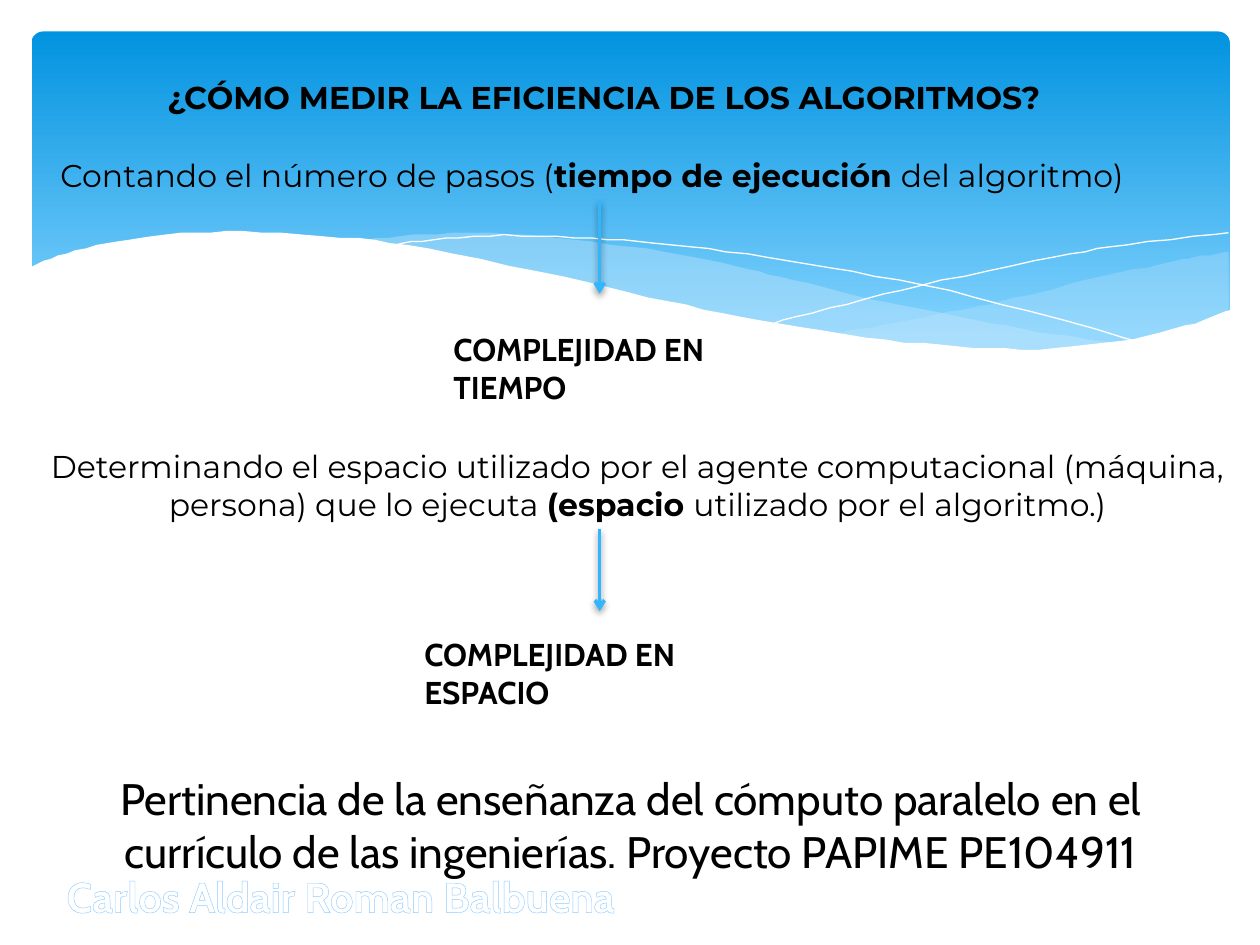
import pptx
import pptx.util
import pptx.dml.color
import pptx.enum.dml
import pptx.enum.shapes
import pptx.enum.text
import pptx.oxml
import pptx.oxml.ns
from lxml import etree
from dataclasses import dataclass

Pt = pptx.util.Pt
ALIGN = pptx.enum.text.PP_ALIGN
ANCHOR = pptx.enum.text.MSO_ANCHOR


@dataclass(frozen=True)
class Theme:
    black: str = "000000"
    white: str = "FFFFFF"
    sky_top: str = "0293E0"
    sky_bottom: str = "83D3FE"
    band: str = "C6E7FC"
    arrow: str = "31B6FD"
    outline: str = "8ECCFF"
    body: float = 18
    footer: float = 25.2
    author: float = 24
    sans: str = "Montserrat"
    label: str = "Cabin"


theme = Theme()

right_band = [
    [(702.5, 144), (682.5, 147), (663, 151), (620, 160.5), (579.5, 170.5), (542, 178.5), (476, 191)],
    [(497.5, 193.5), (527, 197), (553.5, 199.5), (586, 200), (621, 198), (651.5, 193.5),
     (678, 186.5), (702.5, 178)],
]
middle_band = [
    [(206, 137.5), (236, 134.5), (273.5, 133), (318, 136), (370, 142.5), (420.5, 152), (453, 160),
     (508, 173), (558, 183), (602.5, 191), (643, 196.5)],
    [(643, 196.5), (617, 199.5), (581, 200), (538.5, 198.5), (489.5, 193), (432.5, 183.5),
     (381.5, 173), (323, 160), (276, 149), (232.5, 141), (206, 137.5)],
]
falling_line = [[(222.5, 140.5), (247.5, 137), (288.5, 134.5), (337.5, 136), (384, 139.5),
                 (438, 147), (500.5, 157.5), (572.5, 173.5), (653, 196)]]
rising_line = [[(441.5, 185), (484, 173.5), (538.5, 160.5), (602, 147), (644.5, 139.5), (702, 133)]]
white_wave = [
    [(16.5, 153.5), (33, 146), (61, 139), (95, 134), (139, 132.5), (195, 135.5), (245, 142),
     (322, 158.5), (381, 172), (434, 183), (495, 193), (548, 198), (593, 199.5), (639, 195),
     (677, 186.5), (703.5, 177)],
    [(703.5, 237), (16.5, 237)],
]
waves = [
    (right_band, theme.band, 29),
    (middle_band, theme.band, 40),
    (falling_line, None, 0),
    (rising_line, None, 0),
    (white_wave, theme.white, 100),
]

texts = [
    dict(box=(27.4, 85.7, 700, 29), runs=[("Contando el número de pasos (", False),
                                         ("tiempo de ejecución ", True), ("del algoritmo)", False)]),
    dict(box=(88.6, 41, 577.4, 29), runs=[("¿CÓMO MEDIR LA EFICIENCIA DE LOS ALGORITMOS?", True)]),
    dict(box=(8.6, 252, 711.4, 51), align=ALIGN.CENTER,
         runs=[("Determinando el espacio utilizado por el agente computacional (máquina, persona) "
                "que lo ejecuta ", False), ("(espacio ", True), ("utilizado por el algoritmo.)", False)]),
    dict(box=(252, 185, 212.4, 29), font=theme.label, runs=[("COMPLEJIDAD EN TIEMPO", True)]),
    dict(box=(235.4, 359.3, 215.3, 29), font=theme.label, runs=[("COMPLEJIDAD EN ESPACIO", True)]),
    dict(box=(20.2, 445.7, 680.4, 79.2), font=theme.label, size=theme.footer, align=ALIGN.CENTER,
         anchor=ANCHOR.MIDDLE, bottom=32,
         runs=[("Pertinencia de la enseñanza del cómputo paralelo en el currículo de las "
                "ingenierías. Proyecto PAPIME PE104911", False)]),
    dict(box=(-31, 494, 451.4, 36), font=theme.label, size=theme.author, align=ALIGN.CENTER,
         color=theme.white, outline=(theme.outline, 2.48),
         runs=[("Carlos Aldair Roman Balbuena", True)]),
]

arrow_x = 342.7
arrows = [(114.5, 167.8), (302.4, 349.2)]


def rgb(value):
    return pptx.dml.color.RGBColor.from_string(value)


def element(parent, tag, **attributes):
    return etree.SubElement(parent, pptx.oxml.ns.qn("a:" + tag),
                            {key: str(value) for key, value in attributes.items()})


def smooth(points, steps=5):
    if len(points) < 3:
        return points
    padded = [points[0], *points, points[-1]]
    curve = [points[0]]
    for a, b, c, d in zip(padded, padded[1:], padded[2:], padded[3:]):
        for step in range(1, steps + 1):
            t = step / steps
            curve.append(tuple(
                0.5 * (2 * q + (r - p) * t + (2 * p - 5 * q + 4 * r - s) * t ** 2
                       + (3 * q - p - 3 * r + s) * t ** 3)
                for p, q, r, s in zip(a, b, c, d)))
    return curve


def add_panel(slide):
    panel = slide.shapes.add_shape(pptx.enum.shapes.MSO_SHAPE.ROUNDED_RECTANGLE,
                                   Pt(18), Pt(18), Pt(684.7), Pt(194.4))
    panel.adjustments[0] = 0.034
    panel.shadow.inherit = False
    panel.line.fill.background()
    panel.fill.gradient()
    panel.fill.gradient_angle = 270
    for stop, color, position in zip(panel.fill.gradient_stops,
                                     (theme.sky_top, theme.sky_bottom), (0, 0.9)):
        stop.color.rgb = rgb(color)
        stop.position = position


def add_wave(slide, edges, color, opacity):
    points = [point for edge in edges for point in smooth(edge)]
    builder = slide.shapes.build_freeform(*points[0], scale=Pt(1))
    builder.add_line_segments(points[1:], close=color is not None)
    shape = builder.convert_to_shape()
    shape.shadow.inherit = False
    if color is None:
        shape.fill.background()
        shape.line.color.rgb = rgb(theme.white)
        shape.line.width = Pt(0)
        return
    shape.line.fill.background()
    shape.fill.solid()
    shape.fill.fore_color.rgb = rgb(color)
    if opacity < 100:
        fill_color = shape._element.spPr.find(".//" + pptx.oxml.ns.qn("a:srgbClr"))
        element(fill_color, "alpha", val=opacity * 1000)


def add_text(slide, box, runs, font=theme.sans, size=theme.body, align=ALIGN.LEFT,
             anchor=ANCHOR.TOP, color=theme.black, bottom=3.6, outline=None):
    text_frame = slide.shapes.add_textbox(*map(Pt, box)).text_frame
    text_frame.word_wrap = True
    text_frame.vertical_anchor = anchor
    text_frame.margin_bottom = Pt(bottom)
    paragraph = text_frame.paragraphs[0]
    paragraph.alignment = align
    for text, bold in runs:
        run = paragraph.add_run()
        run.text = text
        run.font.name = font
        run.font.size = Pt(size)
        run.font.bold = bold
        run.font.color.rgb = rgb(color)
        if outline:
            line = element(run._r.get_or_add_rPr(), "ln", w=Pt(outline[1]))
            element(element(line, "solidFill"), "srgbClr", val=outline[0])
            run._r.rPr.insert(0, line)


def add_arrow(slide, top, bottom):
    connector = slide.shapes.add_connector(pptx.enum.shapes.MSO_CONNECTOR.STRAIGHT,
                                           Pt(arrow_x), Pt(top), Pt(arrow_x), Pt(bottom))
    connector.line.color.rgb = rgb(theme.arrow)
    connector.line.width = Pt(2)
    element(connector.line._get_or_add_ln(), "tailEnd", type="arrow")
    effects = element(connector._element.spPr, "effectLst")
    shadow = element(effects, "outerShdw", blurRad=Pt(4), dist=Pt(2), dir=5400000, rotWithShape=0)
    element(element(shadow, "srgbClr", val=theme.black), "alpha", val=38000)


presentation = pptx.Presentation()
presentation.slide_width, presentation.slide_height = Pt(720), Pt(540)
slide = presentation.slides.add_slide(presentation.slide_layouts[6])
add_panel(slide)
for wave in waves:
    add_wave(slide, *wave)
for text in texts:
    add_text(slide, **text)
for arrow in arrows:
    add_arrow(slide, *arrow)
presentation.save("out.pptx")
